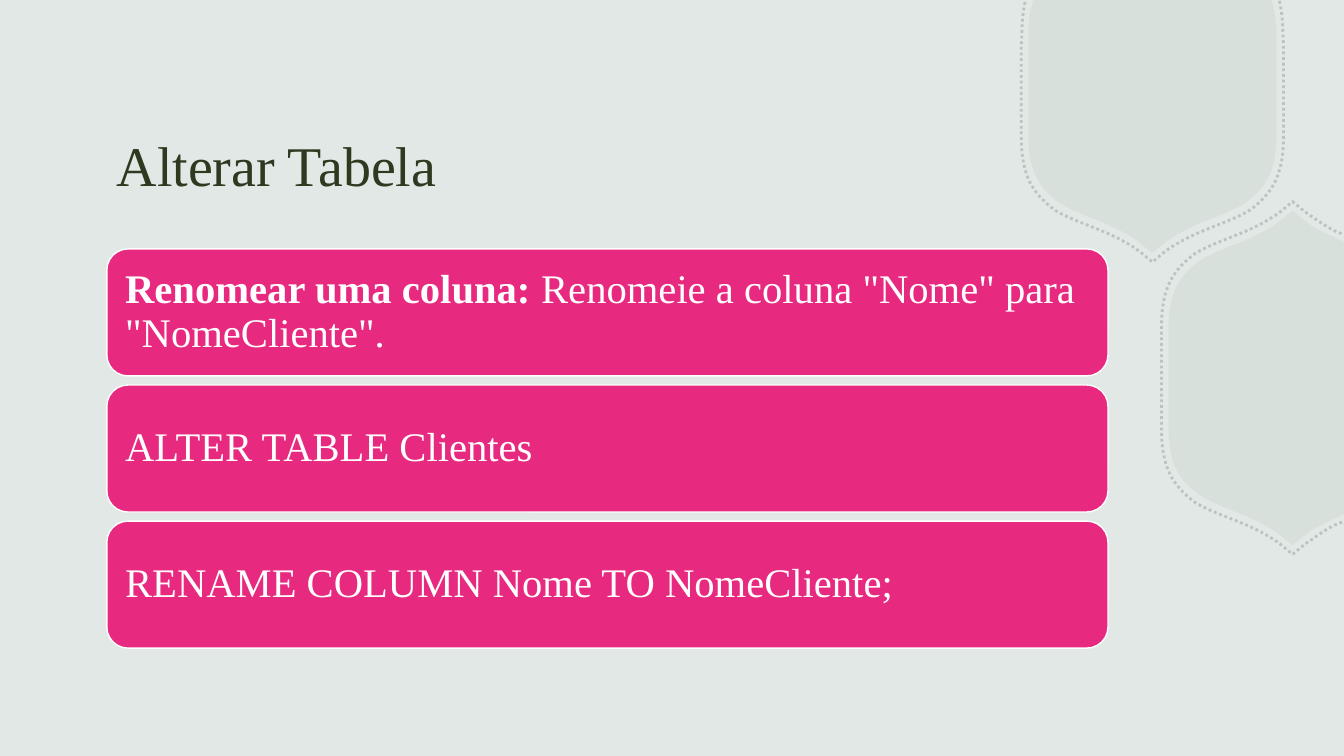
import pptx
import pptx.util
import pptx.dml.color
import pptx.enum.dml
import pptx.enum.shapes
import pptx.enum.text
import lxml.etree
from pptx.util import Inches

COLORS = {"bg": "E2E8E5", "sage": "A2B5AC", "title": "2E3920",
          "pink": "E7297F", "white": "FFFFFF"}
FONT = "Times New Roman"

FILL = {
    "quarter": [(0, 1.66), (0.11, 1.57), (0.38, 1.36), (0.68, 1.31),
                (0.91, 1.17), (1.13, 1.02), (1.23, 0.84), (1.23, 0.49)],
    "top": [(1.18, -0.85), (1.22, -0.73), (1.23, -0.62), (1.23, -0.49)],
    "right": [(0.51, 1.35), (0.36, 1.43), (0.24, 1.46), (0.11, 1.57)],
}
DOTTED = {
    "quarter": [(0, 1.75), (0.12, 1.65), (0.4, 1.44), (0.72, 1.38),
                (0.96, 1.24), (1.19, 1.07), (1.3, 0.89), (1.3, 0.51)],
    "top": [(1.26, -0.84), (1.3, -0.66), (1.29, -0.55), (1.3, -0.41)],
    "right": [(0.49, 1.43), (0.36, 1.47), (0.2, 1.6), (0.12, 1.65)],
}

CARDS = [
    [("Renomear uma coluna:", True),
     (' Renomeie a coluna "Nome" para "NomeCliente".', False)],
    [("ALTER TABLE Clientes", False)],
    [("RENAME COLUMN Nome TO NomeCliente;", False)],
]


def rgb(name):
    return pptx.dml.color.RGBColor.from_string(COLORS[name])


def set_alpha(fill, percent):
    color = fill._xPr.find(".//" + pptx.oxml.ns.qn("a:srgbClr"))
    alpha = lxml.etree.SubElement(color, pptx.oxml.ns.qn("a:alpha"))
    alpha.set("val", str(percent * 1000))


def top_badge(outline):
    half = outline["top"] + outline["quarter"][::-1]
    mirrored = [(-x, y) for x, y in half[::-1]]
    points = [(11.43 + x, 0.85 + y) for x, y in half + mirrored[1:]]
    return points, "CLCCL" + "LCCLC"


def right_badge(outline):
    half = outline["right"] + [(-x, y) for x, y in outline["quarter"]]
    mirrored = [(x, -y) for x, y in half[::-1]]
    points = [(12.82 + x, 3.75 + y) for x, y in half + mirrored]
    return points, "CLLCC" + "L" + "CCLLC"


def bend(sp, kinds):
    lines = iter(sp._element.findall(".//" + pptx.oxml.ns.qn("a:lnTo")))
    for kind in kinds:
        first = next(lines)
        if kind == "C":
            first.tag = pptx.oxml.ns.qn("a:cubicBezTo")
            for _ in range(2):
                line = next(lines)
                first.append(line[0])
                line.getparent().remove(line)


def add_badge(s, points, kinds, filled):
    points = [(Inches(x), Inches(y)) for x, y in points]
    builder = s.shapes.build_freeform(*points[0], scale=1.0)
    builder.add_line_segments(points[1:], close=filled)
    sp = builder.convert_to_shape()
    bend(sp, kinds)
    sp.shadow.inherit = False
    if filled:
        sp.fill.solid()
        sp.fill.fore_color.rgb = rgb("sage")
        set_alpha(sp.fill, 15)
        sp.line.fill.background()
    else:
        sp.fill.background()
        sp.line.color.rgb = rgb("sage")
        sp.line.width = pptx.util.Pt(2)
        sp.line.dash_style = pptx.enum.dml.MSO_LINE.ROUND_DOT
        set_alpha(sp.line.fill, 65)


def write(sp, runs, size, color, inset, spacing):
    tf = sp.text_frame
    tf.word_wrap = True
    tf.vertical_anchor = pptx.enum.text.MSO_ANCHOR.MIDDLE
    tf.margin_left = tf.margin_right = Inches(inset)
    p = tf.paragraphs[0]
    p.alignment = pptx.enum.text.PP_ALIGN.LEFT
    p.line_spacing = spacing
    for text, bold in runs:
        r = p.add_run()
        r.text = text
        r.font.name = FONT
        r.font.size = pptx.util.Pt(size)
        r.font.bold = bold
        r.font.color.rgb = rgb(color)


def add_title(s, text):
    sp = s.shapes.add_textbox(Inches(1.06), Inches(1.05), Inches(9.93), Inches(1.16))
    write(sp, [(text, False)], 40, "title", 0.1, 1.0)


def add_card(s, top, runs):
    sp = s.shapes.add_shape(pptx.enum.shapes.MSO_SHAPE.ROUNDED_RECTANGLE,
                            Inches(1.06), Inches(top), Inches(9.93), Inches(1.26))
    sp.shadow.inherit = False
    sp.fill.solid()
    sp.fill.fore_color.rgb = rgb("pink")
    sp.line.color.rgb = rgb("white")
    sp.line.width = pptx.util.Pt(1)
    write(sp, runs, 29, "white", 0.12, 0.9)


def main():
    prs = pptx.Presentation()
    prs.slide_width, prs.slide_height = Inches(13.33), Inches(7.5)
    s = prs.slides.add_slide(prs.slide_layouts[6])
    s.background.fill.solid()
    s.background.fill.fore_color.rgb = rgb("bg")
    for outline, filled in ((FILL, True), (DOTTED, False)):
        for badge in (top_badge, right_badge):
            add_badge(s, *badge(outline), filled)
    add_title(s, "Alterar Tabela")
    for i, runs in enumerate(CARDS):
        add_card(s, 2.47 + i * 1.35, runs)
    prs.save("out.pptx")


if __name__ == "__main__":
    main()
